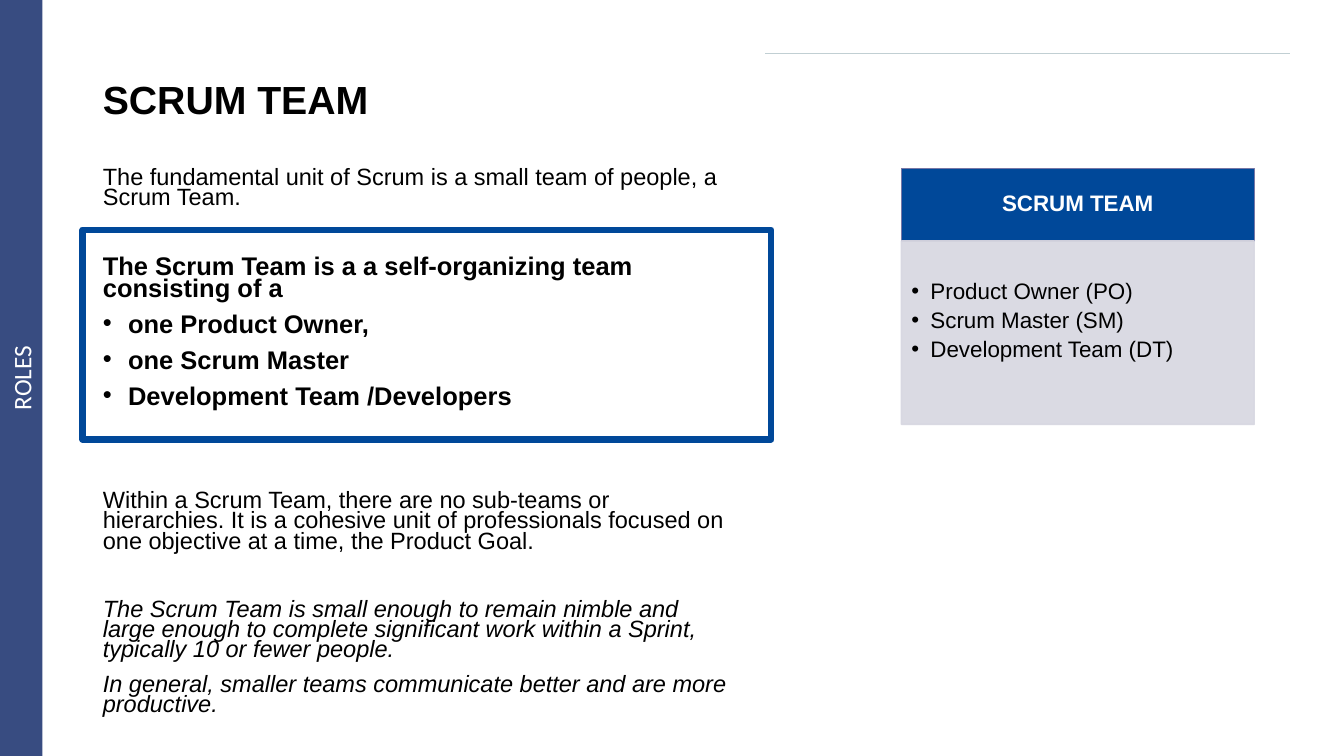
"""Build the Scrum Team slide from the Roles section."""
import pptx
import pptx.util
import pptx.dml.color
import pptx.enum.shapes
import pptx.enum.text
import pptx.oxml.ns
import lxml.etree
from dataclasses import dataclass

Inches = pptx.util.Inches
Pt = pptx.util.Pt
SHAPE = pptx.enum.shapes.MSO_SHAPE
ALIGN = pptx.enum.text.PP_ALIGN
ANCHOR = pptx.enum.text.MSO_ANCHOR
qn = pptx.oxml.ns.qn


@dataclass(frozen=True)
class Theme:
    """Hold the colours, fonts and type sizes."""
    ink: str = "000000"
    white: str = "FFFFFF"
    bar: str = "384C81"
    blue: str = "004899"
    edge: str = "7677A6"
    pale: str = "D7D7E1"
    rule: str = "C1CFD3"
    font: str = "Arial"
    side: str = "Calibri"
    title: float = 28
    lead: float = 18.2
    text: float = 16.8
    card: float = 16
    label: float = 18


THEME = Theme()
TITLE = "SCRUM TEAM"
SECTION = "ROLES"
TEAM = ["Product Owner (PO)", "Scrum Master (SM)", "Development Team (DT)"]
BODY = [
    ("plain", 0, "The fundamental unit of Scrum is a small team of people, a Scrum Team."),
    ("lead", 34, "The Scrum Team is a a self-organizing team consisting of a"),
    ("item", 10, "one Product Owner,"),
    ("item", 10, "one Scrum Master"),
    ("item", 10, "Development Team /Developers"),
    ("plain", 59, "Within a Scrum Team, there are no sub-teams or hierarchies. "
     "It is a cohesive unit of professionals focused on one objective at a time, "
     "the Product Goal."),
    ("note", 34, "The Scrum Team is small enough to remain nimble and large enough "
     "to complete significant work within a Sprint, typically 10 or fewer people."),
    ("note", 10, "In general, smaller teams communicate better and are more productive."),
]
HIGH = 7.5
LEFT = 0.92
CARD = (8.94, 1.67, 3.5)
HEAD, LIST = 0.72, 1.82


def color(code):
    """Turn a hex code into a colour."""
    return pptx.dml.color.RGBColor.from_string(code)


def place(shape, left, top, width, height):
    """Move and size a shape in inches."""
    shape.left, shape.top = Inches(left), Inches(top)
    shape.width, shape.height = Inches(width), Inches(height)


def write(para, text, size, ink=THEME.ink, bold=False, slant=False, face=THEME.font):
    """Add one formatted run."""
    run = para.add_run()
    run.text = text
    font = run.font
    font.name, font.size = face, Pt(size)
    font.bold, font.italic = bold, slant
    font.color.rgb = color(ink)


def mark(para, indent=0):
    """Give a paragraph a hanging bullet, or none without an indent."""
    props = para._p.get_or_add_pPr()
    props.set("marL", str(Inches(indent)))
    props.set("indent", str(-Inches(indent)))
    if indent:
        lxml.etree.SubElement(props, qn("a:buFont")).set("typeface", THEME.font)
        lxml.etree.SubElement(props, qn("a:buChar")).set("char", "•")
    else:
        lxml.etree.SubElement(props, qn("a:buNone"))


def block(slide, box, fill=None, line=None, width=1):
    """Add a flat rectangle."""
    shape = slide.shapes.add_shape(SHAPE.RECTANGLE, *map(Inches, box))
    shape.shadow.inherit = False
    if fill:
        shape.fill.solid()
        shape.fill.fore_color.rgb = color(fill)
    else:
        shape.fill.background()
    if line:
        shape.line.color.rgb = color(line)
        shape.line.width = Pt(width)
    else:
        shape.line.fill.background()
    return shape


def frame(shape, anchor, insets=(0.1, 0.05, 0.1, 0.05)):
    """Set up a text frame and return it."""
    area = shape.text_frame
    area.word_wrap = True
    area.auto_size = pptx.enum.text.MSO_AUTO_SIZE.NONE
    area.vertical_anchor = anchor
    (area.margin_left, area.margin_top,
     area.margin_right, area.margin_bottom) = map(Inches, insets)
    return area


def paras(area, rows):
    """Yield a paragraph with each row."""
    for spot, row in enumerate(rows):
        yield (area.add_paragraph() if spot else area.paragraphs[0]), row


def decor(slide):
    """Draw the side bar and the top rule."""
    bar = block(slide, (0, 0, 0.42, HIGH), THEME.bar)
    area = frame(bar, ANCHOR.MIDDLE)
    area._txBody.bodyPr.set("vert", "vert270")
    para = area.paragraphs[0]
    para.alignment = ALIGN.CENTER
    write(para, SECTION, THEME.label, THEME.white, face=THEME.side)
    rule = slide.shapes.add_connector(
        pptx.enum.shapes.MSO_CONNECTOR.STRAIGHT,
        *map(Inches, (7.59, 0.53, 12.79, 0.53)))
    rule.line.color.rgb = color(THEME.rule)
    rule.line.width = Pt(0.5)
    lxml.etree.SubElement(rule.element.spPr, qn("a:effectLst"))


def story(slide):
    """Fill the title and body and frame the key lines."""
    title, body = slide.shapes.title, slide.placeholders[1]
    place(title, LEFT, 0.61, 11.5, 0.8)
    para = frame(title, ANCHOR.MIDDLE).paragraphs[0]
    para.alignment, para.line_spacing = ALIGN.LEFT, 0.9
    write(para, TITLE, THEME.title, bold=True)
    place(body, LEFT, 1.63, 6.48, 5.58)
    for para, (kind, gap, text) in paras(frame(body, ANCHOR.TOP), BODY):
        strong = kind in ("lead", "item")
        mark(para, 0.25 if kind == "item" else 0)
        para.line_spacing, para.space_before = 0.72, Pt(gap)
        write(para, text, THEME.lead if strong else THEME.text,
              bold=strong, slant=kind == "note")
    block(slide, (0.82, 2.28, 6.83, 2.08), line=THEME.blue, width=4.5)


def card(slide):
    """Draw the team card with its header and list."""
    left, top, width = CARD
    head = block(slide, (left, top, width, HEAD), THEME.blue, THEME.edge)
    para = frame(head, ANCHOR.MIDDLE, (0.14, 0.08, 0.14, 0.08)).paragraphs[0]
    para.alignment, para.line_spacing = ALIGN.CENTER, 0.9
    write(para, TITLE, THEME.card, THEME.white, bold=True)
    panel = block(slide, (left, top + HEAD, width, LIST), THEME.pale, THEME.pale)
    for tone in panel.element.spPr.iter(qn("a:srgbClr")):
        lxml.etree.SubElement(tone, qn("a:alpha")).set("val", "90000")
    area = frame(panel, ANCHOR.TOP, (0.1, 0.39, 0.14, 0.16))
    for para, text in paras(area, TEAM):
        mark(para, 0.19)
        para.alignment = ALIGN.LEFT
        para.line_spacing, para.space_after = 0.9, Pt(3.4)
        write(para, text, THEME.card)


def main():
    """Build and save the deck."""
    deck = pptx.Presentation()
    deck.slide_width, deck.slide_height = Inches(13.33), Inches(HIGH)
    slide = deck.slides.add_slide(deck.slide_layouts[1])
    decor(slide)
    story(slide)
    card(slide)
    deck.save("out.pptx")


if __name__ == "__main__":
    main()
